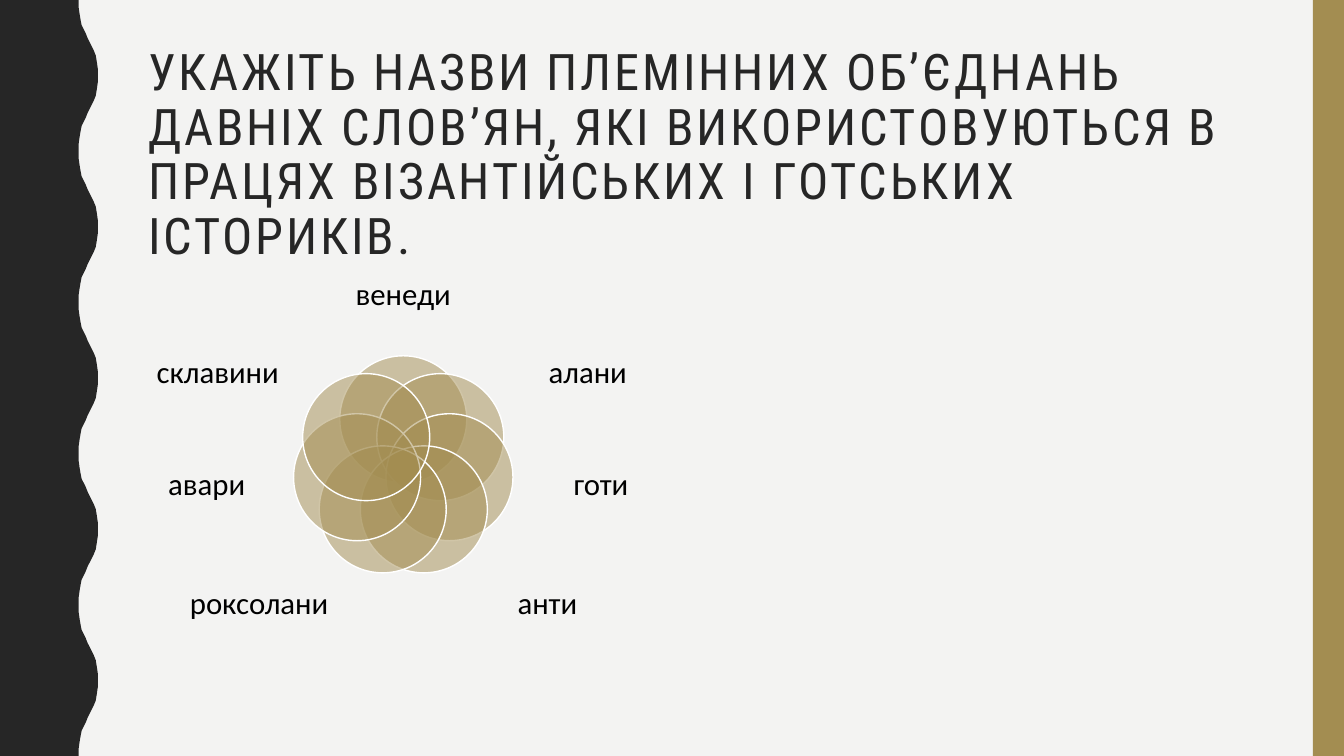
from dataclasses import dataclass
from math import cos, pi, sin

from lxml.etree import SubElement
from pptx import Presentation
from pptx.dml.color import RGBColor
from pptx.enum.shapes import MSO_SHAPE
from pptx.enum.text import MSO_ANCHOR, MSO_AUTO_SIZE, PP_ALIGN
from pptx.oxml.ns import qn
from pptx.util import Pt

PX = 9144
SLIDE_W, SLIDE_H = 1333, 750
DARK, GOLD, PAPER, WHITE, BLACK = "262626", "A38D51", "F3F3F2", "FFFFFF", "000000"
HALF_WAVE = [(78, 0), (78, 7), (79, 14), (80, 20), (81, 25), (83, 29), (85, 33),
             (87, 38), (89, 42), (91, 46), (93, 50), (95, 55), (96, 61), (97, 68), (97, 75)]
WAVE_PERIOD = 150
FLOWER_X, FLOWER_Y, ORBIT, PETAL = 400, 463, 47, 126


@dataclass
class Tribe:
    name: str
    left: int
    top: int
    width: int
    height: int


TRIBES = [
    Tribe("венеди", 328, 255, 144, 77),
    Tribe("алани", 515, 328, 136, 85),
    Tribe("готи", 529, 436, 134, 91),
    Tribe("анти", 471, 558, 144, 83),
    Tribe("роксолани", 185, 558, 144, 83),
    Tribe("авари", 138, 436, 134, 91),
    Tribe("склавини", 148, 328, 136, 85),
]


def px(*lengths: float) -> list[int]:
    return [round(length * PX) for length in lengths]


def paint(fill, color: str) -> None:
    fill.solid()
    fill.fore_color.rgb = RGBColor.from_string(color)


def apply(target, formats: dict) -> None:
    for attribute, value in formats.items():
        setattr(target, attribute, value)


def write(frame, text: str, font: str, size: int, color: str, align: PP_ALIGN):
    frame.text = text
    paragraph = frame.paragraphs[0]
    apply(paragraph, {"alignment": align, "line_spacing": 0.9})
    run = paragraph.runs[0]
    apply(run.font, {"name": font, "size": Pt(size), "bold": False})
    run.font.color.rgb = RGBColor.from_string(color)
    return run


def add_wave(slide) -> None:
    period = HALF_WAVE + [(x, WAVE_PERIOD - y) for x, y in HALF_WAVE[-2::-1]]
    edge = [(x, y + start) for start in range(0, SLIDE_H, WAVE_PERIOD) for x, y in period]
    outline = slide.shapes.build_freeform(0, 0, scale=PX)
    outline.add_line_segments(edge + [(0, SLIDE_H)], close=True)
    wave = outline.convert_to_shape()
    wave.shadow.inherit = False
    paint(wave.fill, DARK)
    wave.line.fill.background()


def add_stripe(slide) -> None:
    stripe = slide.shapes.add_shape(MSO_SHAPE.RECTANGLE, *px(1302, 0, 31, SLIDE_H))
    stripe.shadow.inherit = False
    paint(stripe.fill, GOLD)
    stripe.line.fill.background()


def add_title(slide, text: str) -> None:
    title = slide.shapes.title
    left, top, width, height = px(137, 42, 1113, 163)
    apply(title, {"left": left, "top": top, "width": width, "height": height})
    apply(title.text_frame, {"word_wrap": True, "auto_size": MSO_AUTO_SIZE.NONE,
                             "vertical_anchor": MSO_ANCHOR.TOP})
    run = write(title.text_frame, text, "Roboto Condensed", 36, DARK, PP_ALIGN.LEFT)
    run.font._element.set("spc", "200")


def add_petal(shapes, angle: float) -> None:
    left = FLOWER_X + ORBIT * sin(angle) - PETAL / 2
    top = FLOWER_Y - ORBIT * cos(angle) - PETAL / 2
    petal = shapes.add_shape(MSO_SHAPE.OVAL, *px(left, top, PETAL, PETAL))
    petal.shadow.inherit = False
    paint(petal.fill, GOLD)
    tint = petal._element.spPr.find(qn("a:solidFill")).find(qn("a:srgbClr"))
    SubElement(tint, qn("a:alpha"), val="50000")
    paint(petal.line.fill, WHITE)
    petal.line.width = Pt(1)


def add_label(shapes, tribe: Tribe) -> None:
    label = shapes.add_textbox(*px(tribe.left, tribe.top, tribe.width, tribe.height))
    apply(label.text_frame, {"word_wrap": True, "vertical_anchor": MSO_ANCHOR.MIDDLE,
                             "margin_left": 0, "margin_right": 0,
                             "margin_top": 0, "margin_bottom": 0})
    write(label.text_frame, tribe.name, "Calibri", 22, BLACK, PP_ALIGN.CENTER)


def main() -> None:
    deck = Presentation()
    deck.slide_width, deck.slide_height = px(SLIDE_W, SLIDE_H)
    slide = deck.slides.add_slide(deck.slide_layouts[5])
    paint(slide.background.fill, PAPER)
    add_wave(slide)
    add_stripe(slide)
    add_title(slide, "УКАЖІТЬ НАЗВИ ПЛЕМІННИХ ОБ’ЄДНАНЬ ДАВНІХ СЛОВ’ЯН, ЯКІ "
                     "ВИКОРИСТОВУЮТЬСЯ В ПРАЦЯХ ВІЗАНТІЙСЬКИХ І ГОТСЬКИХ ІСТОРИКІВ.")
    flower = slide.shapes.add_group_shape()
    for index, tribe in enumerate(TRIBES):
        add_petal(flower.shapes, 2 * pi * index / len(TRIBES))
        add_label(flower.shapes, tribe)
    deck.save("out.pptx")


if __name__ == "__main__":
    main()
